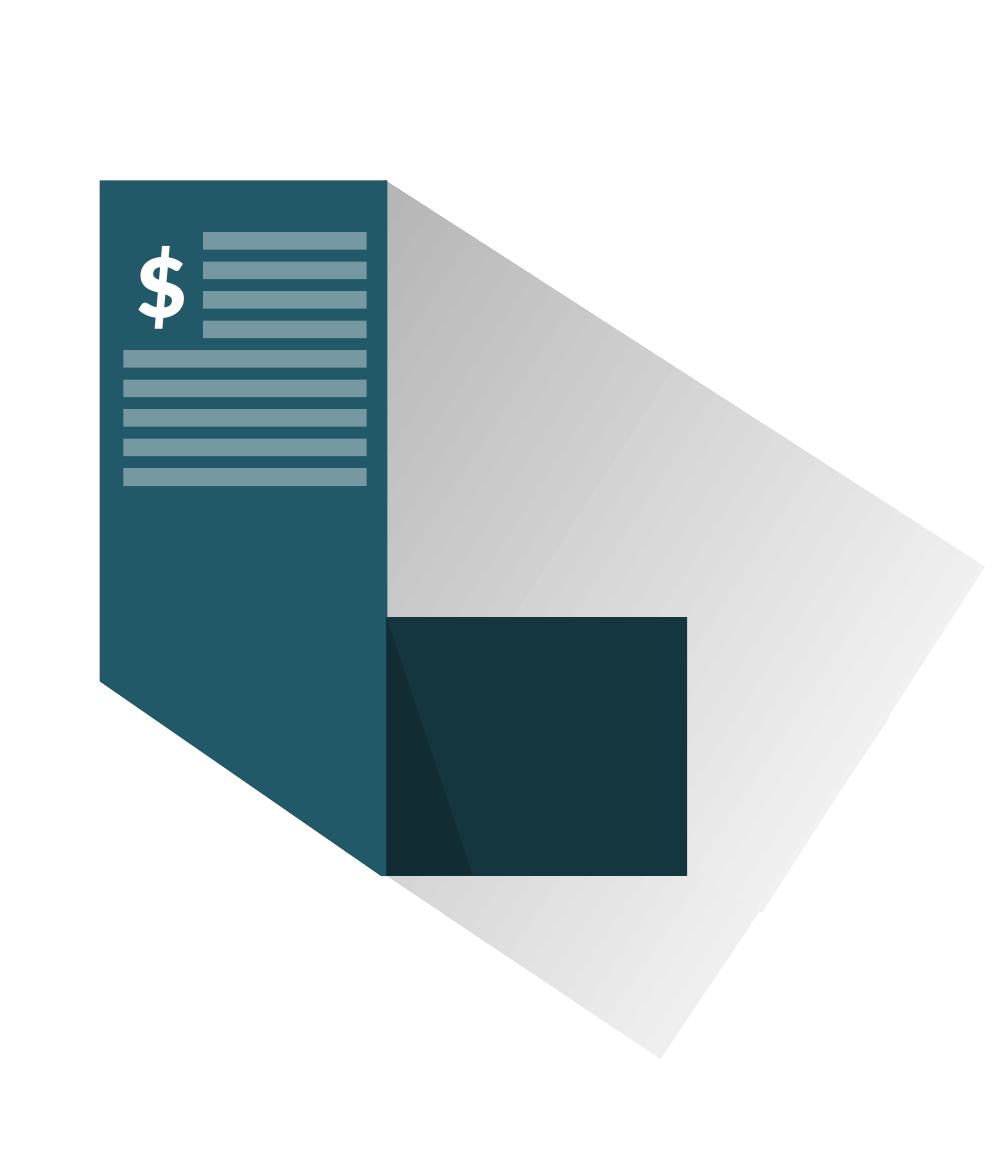
from lxml import etree
from pptx import Presentation
from pptx.dml.color import RGBColor
from pptx.enum.shapes import MSO_SHAPE
from pptx.enum.text import MSO_AUTO_SIZE
from pptx.oxml.ns import qn
from pptx.util import Cm, Pt

WHITE = RGBColor(0xFF, 0xFF, 0xFF)
SHADOW_GREY = RGBColor(0xA6, 0xA6, 0xA6)
TEAL = RGBColor(0x21, 0x59, 0x68)
DARK_TEAL = RGBColor(0x14, 0x36, 0x3F)
FOLD_SHADE = RGBColor(0x0F, 0x26, 0x2C)


def add_plain_shape(shapes, kind, box, rotation=0):
    """Add a shape without outline or shadow; box is left, top, width, height in cm."""
    shape = shapes.add_shape(kind, *[Cm(length) for length in box])
    shape.rotation = rotation
    shape.shadow.inherit = False
    shape.line.fill.background()
    return shape


def fill_solid(shape, color, opacity=100):
    """Fill with one colour; opacity is a percentage."""
    shape.fill.solid()
    shape.fill.fore_color.rgb = color
    if opacity < 100:
        color_element = shape.element.spPr.find(qn("a:solidFill"))[0]
        etree.SubElement(color_element, qn("a:alpha"), val=str(opacity * 1000))


presentation = Presentation()
presentation.slide_width = Cm(25.4)
presentation.slide_height = Cm(30)
slide = presentation.slides.add_slide(presentation.slide_layouts[6])

# Long cast shadows, fading towards the lower right
for box, rotation in [
    ((7.39, 9.3, 10.49, 17.15), 303.8),
    ((9.37, 4.83, 10.49, 18.21), 302.8),
]:
    shadow = add_plain_shape(slide.shapes, MSO_SHAPE.RECTANGLE, box, rotation)
    shadow.fill.gradient()
    shadow.fill.gradient_angle = 90
    for stop, position, color in zip(
        shadow.fill.gradient_stops, (0, 1), (WHITE, SHADOW_GREY)
    ):
        stop.position = position
        stop.color.rgb = color

# Invoice sheet with its cut corner and folded end
invoice = slide.shapes.add_group_shape().shapes
sheet = add_plain_shape(invoice, MSO_SHAPE.RECTANGLE, (2.54, 4.6, 7.34, 17.75))
fill_solid(sheet, TEAL)
corner = add_plain_shape(invoice, MSO_SHAPE.RIGHT_TRIANGLE, (2.49, 17.35, 7.34, 5.08))
fill_solid(corner, WHITE)
fold = add_plain_shape(invoice, MSO_SHAPE.RECTANGLE, (10.39, 15.21, 6.6, 7.67), 90)
fill_solid(fold, DARK_TEAL)
fold_shade = add_plain_shape(
    invoice, MSO_SHAPE.RIGHT_TRIANGLE, (7.65, 17.93, 6.6, 2.21), 270
)
fold_shade.element.spPr.xfrm.set("flipV", "1")
fill_solid(fold_shade, FOLD_SHADE, 60)

# Text lines: four short ones beside the dollar sign, five long ones below
LINES_RIGHT = 9.35
for row in range(9):
    left = 5.18 if row < 4 else 3.15
    box = (left, 5.92 + row * 0.753, LINES_RIGHT - left, 0.45)
    text_line = add_plain_shape(invoice, MSO_SHAPE.RECTANGLE, box)
    fill_solid(text_line, WHITE, 38)

dollar_box = invoice.add_textbox(Cm(3.15), Cm(5.16), Cm(1.96), Cm(3.68))
dollar_box.text_frame.word_wrap = False
dollar_box.text_frame.auto_size = MSO_AUTO_SIZE.SHAPE_TO_FIT_TEXT
run = dollar_box.text_frame.paragraphs[0].add_run()
run.text = "$"
run.font.name = "Calibri"
run.font.size = Pt(80)
run.font.bold = True
run.font.color.rgb = WHITE

presentation.save("out.pptx")
